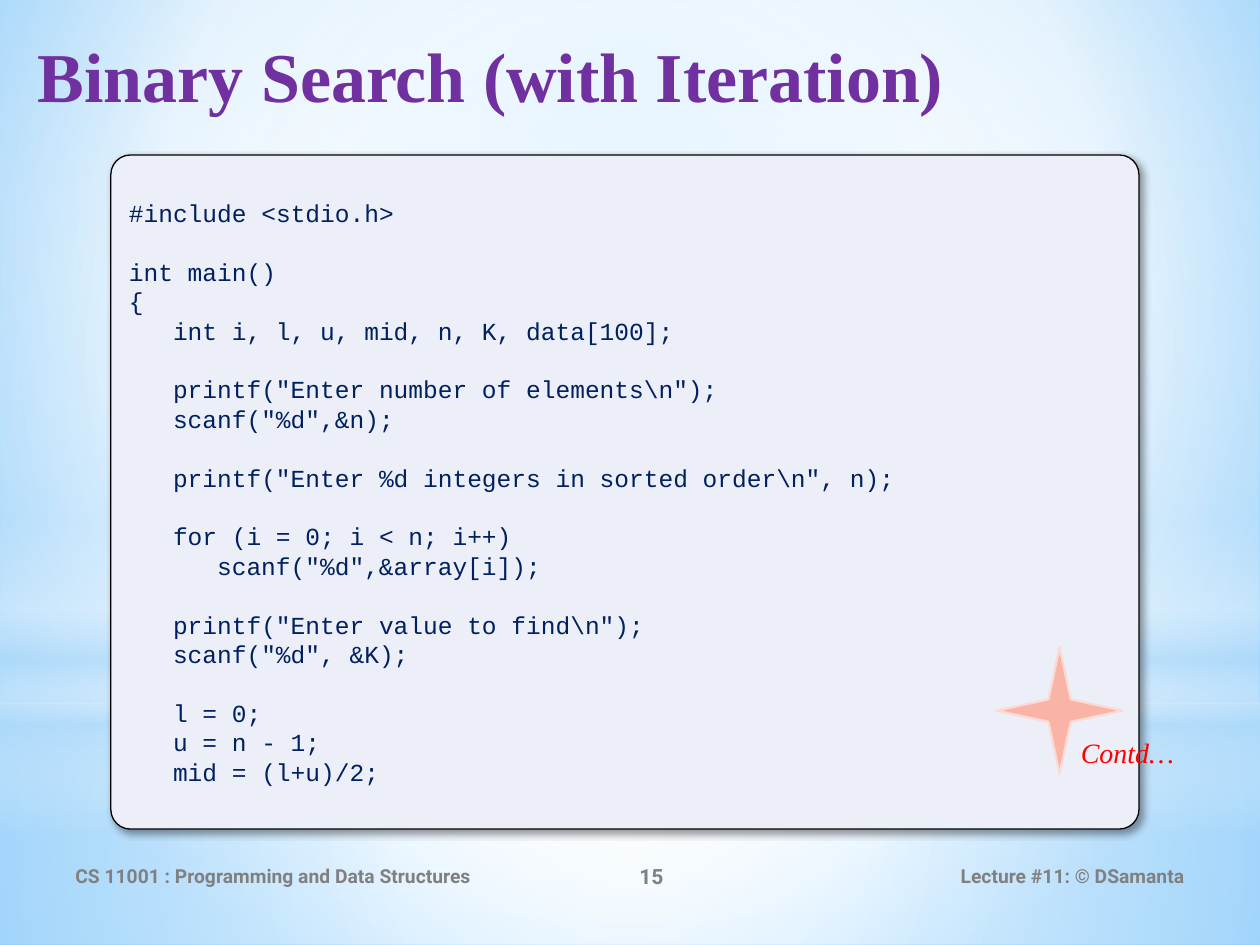
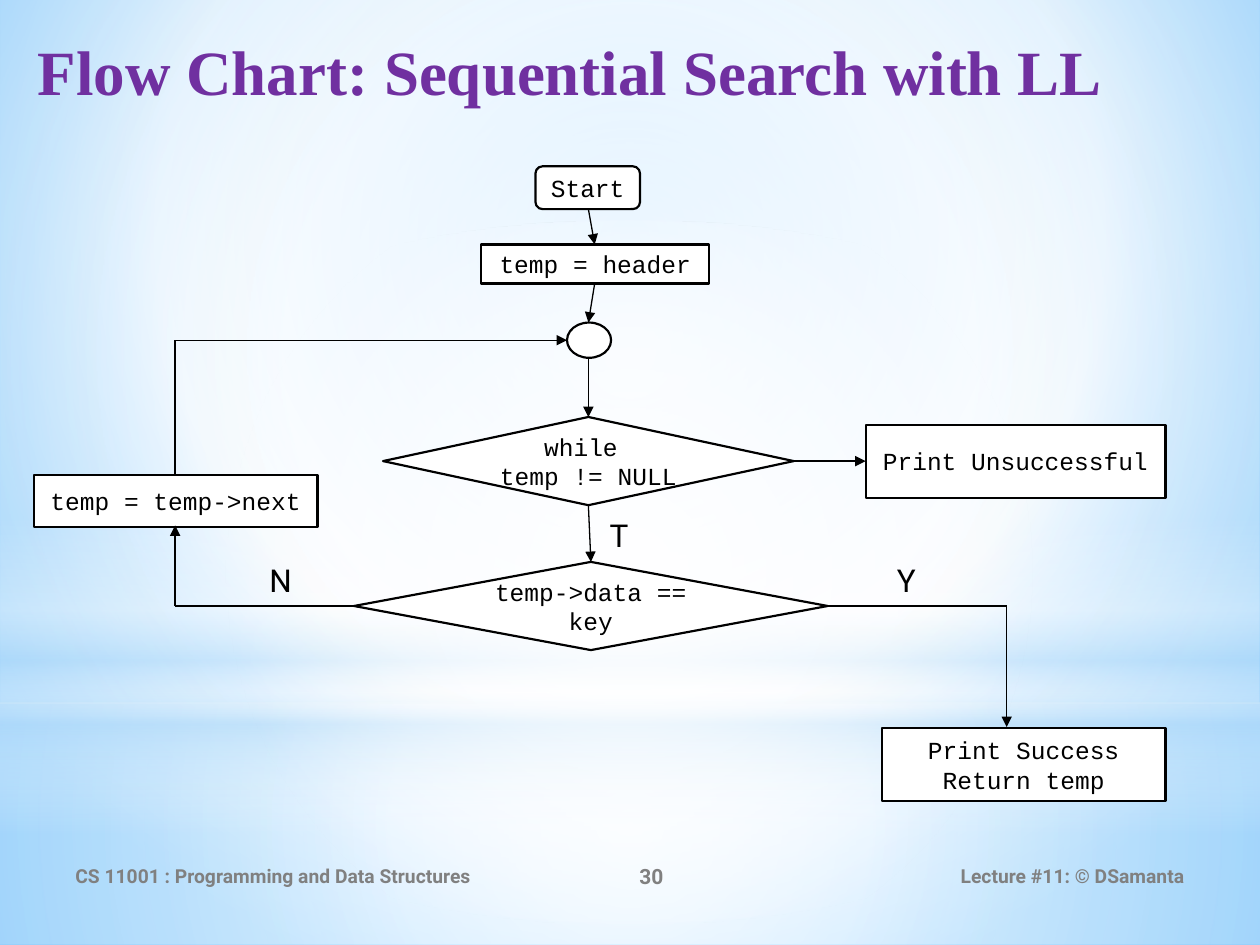
from dataclasses import dataclass

from lxml import etree
from pptx import Presentation
from pptx.dml.color import RGBColor
from pptx.enum import shapes, text
from pptx.oxml.ns import nsdecls, qn
from pptx.util import Inches, Pt


@dataclass(frozen=True)
class Theme:
    title: str = "7030A0"
    footer: str = "808080"
    ink: str = "000000"
    paper: str = "FFFFFF"
    sky: str = "B4DCFA"
    panel: str = "ECEFF8"
    code: str = "002060"
    star: str = "F9B3A7"
    star_edge: str = "FCD9D3"
    note: str = "FF0000"
    serif: str = "Times New Roman"
    sans: str = "Roboto"
    mono: str = "Courier New"
    code_size: float = 14
    code_pitch: float = 16.8
    footer_size: float = 11
    number_size: float = 12
    note_size: float = 16
    label_size: float = 18
    edge: float = 1.25
    thin: float = 0.75


theme = Theme()
kinds = shapes.MSO_SHAPE
LEFT, CENTER, RIGHT = text.PP_ALIGN.LEFT, text.PP_ALIGN.CENTER, text.PP_ALIGN.RIGHT
TOP, MIDDLE = text.MSO_ANCHOR.TOP, text.MSO_ANCHOR.MIDDLE


def set_gradient(properties, stops, shade):
    """Replace the solid fill with a gradient of (position, colour, opacity) stops."""
    marks = "".join(
        f'<a:gs pos="{place * 1000}"><a:srgbClr val="{colour}">'
        f'<a:alpha val="{opacity * 1000}"/></a:srgbClr></a:gs>'
        for place, colour, opacity in stops)
    if shade is None:
        direction = '<a:lin ang="5400000" scaled="0"/>'
    else:
        sides = " ".join(f'{side}="{value * 1000}"' for side, value in zip("ltrb", shade))
        direction = f'<a:path path="circle"><a:fillToRect {sides}/></a:path>'
    gradient = etree.fromstring(
        f'<a:gradFill {nsdecls("a")} rotWithShape="1"><a:gsLst>{marks}</a:gsLst>'
        f'{direction}</a:gradFill>')
    properties.replace(properties.find(qn("a:solidFill")), gradient)


def write(box, lines, font, size, colour, align=LEFT, anchor=MIDDLE,
          bold=False, italic=False, wrap=True):
    """Write one paragraph per line, all in one style."""
    frame = box.text_frame
    frame.word_wrap = wrap
    frame.auto_size = text.MSO_AUTO_SIZE.NONE
    frame.vertical_anchor = anchor
    for index, line in enumerate(lines):
        para = frame.paragraphs[0] if index == 0 else frame.add_paragraph()
        para.alignment = align
        if font == theme.mono:
            para.line_spacing = Pt(theme.code_pitch)
        span = para.add_run()
        span.text = line
        span.font.name, span.font.size = font, Pt(size)
        span.font.bold, span.font.italic = bold, italic
        span.font.color.rgb = RGBColor.from_string(colour)


deck = Presentation()
deck.slide_width, deck.slide_height = Inches(10), Inches(7.5)
layout = deck.slide_layouts[5]

# Shared titles and footers
titles = [("Binary Search (with Iteration)", 40, "15"),
          ("Flow Chart: Sequential Search with LL", 36, "30")]
for heading, heading_size, number in titles:
    page = deck.slides.add_slide(layout)
    title = page.shapes.title
    title.left, title.top = Inches(0.2), Inches(0.21)
    title.width, title.height = Inches(9.53), Inches(1.25)
    write(title, [heading], theme.serif, heading_size, theme.title, anchor=TOP, bold=True)
    footers = [
        (0.5, 3.67, "CS 11001 : Programming and Data Structures", theme.footer_size, LEFT),
        (4.17, 2, number, theme.number_size, CENTER),
        (6.75, 2.75, "Lecture #11: © DSamanta", theme.footer_size, RIGHT),
    ]
    for left, width, words, size, align in footers:
        box = page.shapes.add_textbox(Inches(left), Inches(6.75), Inches(width), Inches(0.4))
        write(box, [words], theme.sans, size, theme.footer, align, bold=True)
code_page, chart_page = deck.slides

# Shared background, with its light bands moved to the layout
layout.background.fill.solid()
set_gradient(layout.element.find(".//" + qn("p:bgPr")),
             [(0, "9ED5FF", 100), (60, theme.paper, 100), (100, "5BB9FF", 100)],
             (20, 10, 20, 60))
middle = (50, 50, 50, 50)
white, sky = theme.paper, theme.sky
bands = [
    (kinds.RECTANGLE, 5.58, 1.92, [(0, white, 91), (37, white, 76), (100, sky, 79)], middle),
    (kinds.RECTANGLE, 0, 5.58, [(0, white, 89), (48, white, 62), (100, sky, 79)], middle),
    (kinds.RECTANGLE, 4.12, 2.5, [(0, white, 0), (29, white, 30), (45, sky, 40),
                                  (55, white, 26), (65, sky, 60), (100, white, 0)], None),
    (kinds.OVAL, 1.75, 5.58, [(0, white, 100), (56, white, 0)], middle),
]
for order, (kind, top, height, stops, shade) in enumerate(bands):
    band = code_page.shapes.add_shape(kind, 0, Inches(top), Inches(10), Inches(height))
    band.shadow.inherit = False
    band.line.fill.background()
    band.fill.solid()
    set_gradient(band.element.spPr, stops, shade)
    layout.shapes.element.insert(2 + order, band.element)

# Code panel
program = r"""
#include <stdio.h>

int main()
{
   int i, l, u, mid, n, K, data[100];

   printf("Enter number of elements\n");
   scanf("%d",&n);

   printf("Enter %d integers in sorted order\n", n);

   for (i = 0; i < n; i++)
      scanf("%d",&array[i]);

   printf("Enter value to find\n");
   scanf("%d", &K);

   l = 0;
   u = n - 1;
   mid = (l+u)/2;
""".strip().split("\n")
panel = code_page.shapes.add_shape(kinds.ROUNDED_RECTANGLE, Inches(0.88), Inches(1.23),
                                   Inches(8.16), Inches(5.35))
panel.adjustments[0] = 0.029
panel.fill.solid()
panel.fill.fore_color.rgb = RGBColor.from_string(theme.panel)
panel.line.color.rgb = RGBColor.from_string(theme.ink)
panel.line.width = Pt(theme.thin)
panel.shadow.inherit = False
panel.element.spPr.find(qn("a:effectLst")).append(etree.fromstring(
    f'<a:outerShdw {nsdecls("a")} blurRad="{Pt(4)}" dist="{Pt(3)}" dir="2700000">'
    f'<a:srgbClr val="{theme.ink}"><a:alpha val="40000"/></a:srgbClr></a:outerShdw>'))
write(panel, [row.strip() for row in program if row], theme.mono, theme.code_size, theme.code)

# Code indents and gaps: one character is 0.6 of the type size wide
paras = iter(panel.text_frame.paragraphs)
gap = 0
for row in program:
    if not row:
        gap = theme.code_pitch
        continue
    para = next(paras)
    para.space_before = Pt(gap)
    depth = len(row) - len(row.lstrip())
    para._p.get_or_add_pPr().set("marL", str(Pt(depth * 0.6 * theme.code_size)))
    gap = 0

# Continuation mark
star = code_page.shapes.add_shape(kinds.STAR_4_POINT, Inches(7.91), Inches(5.14),
                                  Inches(1), Inches(1))
star.shadow.inherit = False
star.fill.solid()
star.fill.fore_color.rgb = RGBColor.from_string(theme.star)
star.line.color.rgb = RGBColor.from_string(theme.star_edge)
star.line.width = Pt(theme.edge)
note = code_page.shapes.add_textbox(Inches(8.48), Inches(5.79), Inches(0.95), Inches(0.37))
write(note, ["Contd…"], theme.serif, theme.note_size, theme.note,
      anchor=TOP, italic=True, wrap=False)

# Flow chart steps
process, decision = kinds.FLOWCHART_PROCESS, kinds.FLOWCHART_DECISION
steps = [
    (process, 0.27, 3.77, 2.25, 0.41, ["temp = temp->next"]),
    (kinds.ROUNDED_RECTANGLE, 4.25, 1.32, 0.83, 0.34, ["Start"]),
    (decision, 3.04, 3.31, 3.26, 0.7, ["while ", "temp != NULL"]),
    (process, 3.82, 1.94, 1.81, 0.31, ["temp = header"]),
    (kinds.FLOWCHART_CONNECTOR, 4.5, 2.56, 0.35, 0.28, []),
    (decision, 2.81, 4.46, 3.76, 0.7, ["temp->data == key"]),
    (process, 7, 5.78, 2.25, 0.58, ["Print Success", "Return temp"]),
    (process, 6.87, 3.37, 2.38, 0.58, ["Print Unsuccessful"]),
]
for kind, left, top, width, height, lines in steps:
    step = chart_page.shapes.add_shape(kind, Inches(left), Inches(top),
                                       Inches(width), Inches(height))
    step.shadow.inherit = False
    step.fill.solid()
    step.fill.fore_color.rgb = RGBColor.from_string(theme.paper)
    step.line.color.rgb = RGBColor.from_string(theme.ink)
    step.line.width = Pt(theme.edge)
    write(step, lines, theme.mono, theme.code_size, theme.ink, CENTER)

# Flow chart routes, each with an arrowhead on its last leg
routes = [
    [(4.67, 1.66), (4.72, 1.94)],
    [(4.72, 2.25), (4.67, 2.56)],
    [(4.67, 2.84), (4.67, 3.31)],
    [(4.67, 4.01), (4.69, 4.46)],
    [(2.81, 4.81), (1.39, 4.81), (1.39, 4.17)],
    [(1.39, 3.77), (1.39, 2.7), (4.5, 2.7)],
    [(6.57, 4.81), (7.99, 4.81), (7.99, 5.77)],
    [(6.3, 3.66), (6.87, 3.66)],
]
for route in routes:
    for start, end in zip(route, route[1:]):
        leg = chart_page.shapes.add_connector(
            shapes.MSO_CONNECTOR.STRAIGHT, *map(Inches, start + end))
        leg.line.color.rgb = RGBColor.from_string(theme.ink)
        leg.line.width = Pt(theme.thin)
        etree.SubElement(leg.element.spPr, qn("a:effectLst"))
        if end == route[-1]:
            etree.SubElement(leg.line._get_or_add_ln(), qn("a:tailEnd"), type="triangle")

# Branch labels
for left, top, letter in [(7.02, 4.4, "Y"), (2.04, 4.4, "N"), (4.74, 4.05, "T")]:
    label = chart_page.shapes.add_textbox(Inches(left), Inches(top), Inches(0.44), Inches(0.4))
    write(label, [letter], theme.sans, theme.label_size, theme.ink, anchor=TOP)

deck.save("out.pptx")
